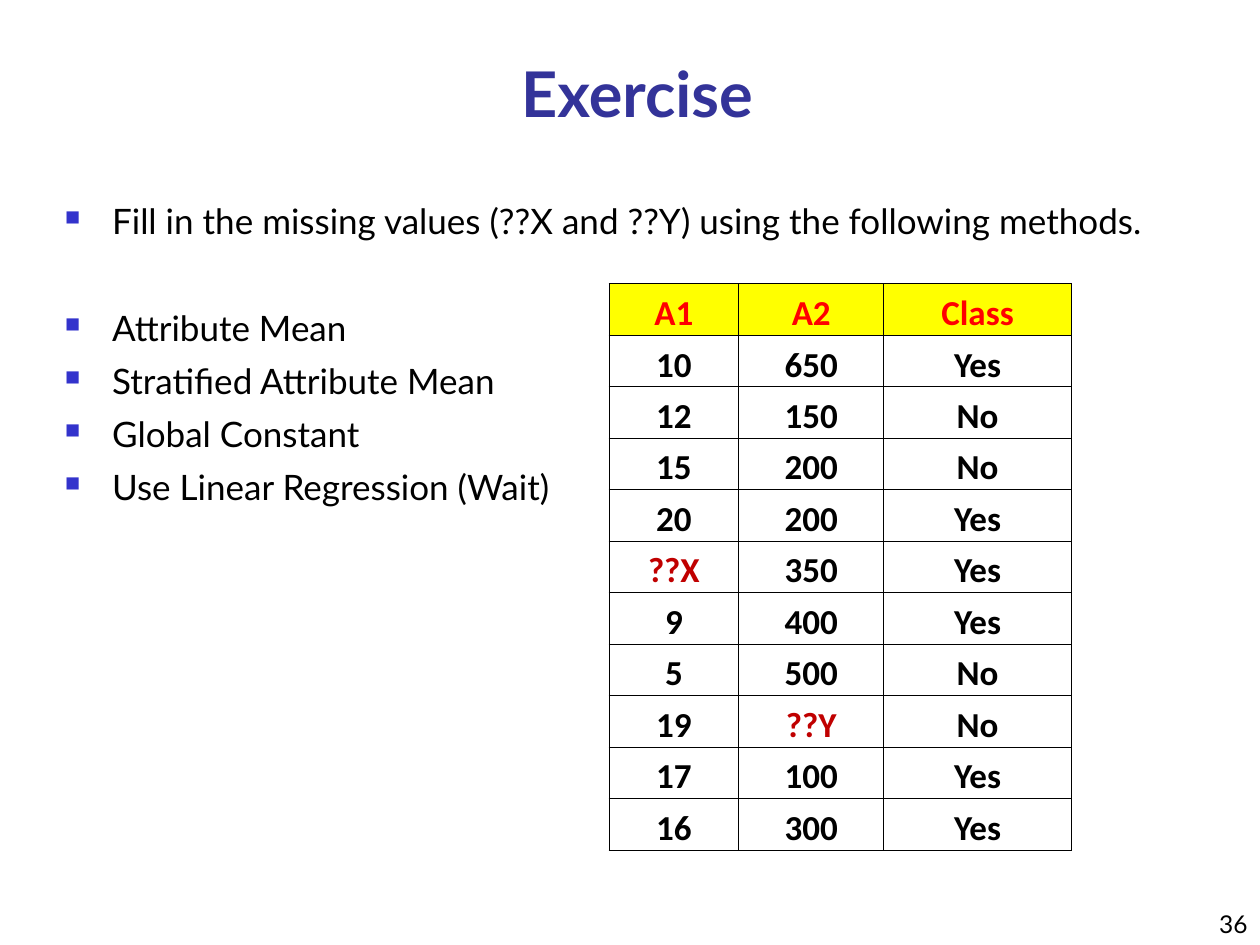
from lxml.etree import SubElement as Sub
from pptx import Presentation
from pptx.dml.color import RGBColor as RGB
from pptx.enum.text import MSO_ANCHOR as Anchor, PP_ALIGN as Align
from pptx.oxml.ns import qn
from pptx.util import Pt

TITLE = "Exercise"
PAGE = "36"
TASKS = [
    ("Fill in the missing values (??X and ??Y) using the following methods.", 4),
    ("Attribute Mean", 34.8),
    ("Stratified Attribute Mean", 4),
    ("Global Constant", 4),
    ("Use Linear Regression (Wait)", 4),
]
ROWS = [
    ("A1", "A2", "Class"),
    ("10", "650", "Yes"),
    ("12", "150", "No"),
    ("15", "200", "No"),
    ("20", "200", "Yes"),
    ("??X", "350", "Yes"),
    ("9", "400", "Yes"),
    ("5", "500", "No"),
    ("19", "??Y", "No"),
    ("17", "100", "Yes"),
    ("16", "300", "Yes"),
]
WIDTHS = [74.2, 82.8, 107.3]
HIGH = 29.45
BLACK = "000000"


def color(code):
    return RGB.from_string(code)


def write(para, text, size, tint=BLACK, bold=False, face="Lato"):
    run = para.add_run()
    run.text = text
    font = run.font
    font.name, font.size, font.bold = face, Pt(size), bold
    font.color.rgb = color(tint)


def add_box(slide, left, top, width, height, anchor):
    box = slide.shapes.add_textbox(Pt(left), Pt(top), Pt(width), Pt(height))
    frame = box.text_frame
    frame.word_wrap = True
    frame.vertical_anchor = anchor
    return frame


def add_bullet(para):
    props = para._p.get_or_add_pPr()
    props.set("marL", str(Pt(27)))
    props.set("indent", str(-Pt(27)))
    Sub(Sub(props, qn("a:buClr")), qn("a:srgbClr"), val="3333CC")
    Sub(props, qn("a:buSzPct"), val="60000")
    Sub(props, qn("a:buChar"), char="■")


def add_border(cell):
    props = cell._tc.get_or_add_tcPr()
    for side in ("lnL", "lnR", "lnT", "lnB"):
        line = Sub(props, qn("a:" + side), w=str(Pt(0.5)))
        Sub(Sub(line, qn("a:solidFill")), qn("a:srgbClr"), val=BLACK)


def fill_cell(cell, text, head):
    cell.margin_left = cell.margin_right = cell.margin_top = Pt(0.7)
    cell.margin_bottom = Pt(0)
    cell.vertical_anchor = Anchor.BOTTOM
    add_border(cell)
    if head:
        cell.fill.solid()
        cell.fill.fore_color.rgb = color("FFFF00")
    else:
        cell.fill.background()
    tint = "FF0000" if head else "C00000" if text.startswith("??") else BLACK
    para = cell.text_frame.paragraphs[0]
    para.alignment = Align.CENTER
    write(para, text, 20, tint, True, "Calibri")


def add_grid(slide):
    size = Pt(sum(WIDTHS)), Pt(HIGH * len(ROWS))
    shape = slide.shapes.add_table(len(ROWS), len(WIDTHS), Pt(348), Pt(162), *size)
    table = shape.table
    for col, width in zip(table.columns, WIDTHS):
        col.width = Pt(width)
    for r, row in enumerate(ROWS):
        table.rows[r].height = Pt(HIGH)
        for c, text in enumerate(row):
            fill_cell(table.cell(r, c), text, r == 0)


def add_tasks(slide):
    frame = add_box(slide, 30, 108, 654, 42, Anchor.TOP)
    for i, (text, gap) in enumerate(TASKS):
        para = frame.add_paragraph() if i else frame.paragraphs[0]
        para.line_spacing = 1.1
        para.space_before = Pt(gap)
        add_bullet(para)
        write(para, text, 20)


def main():
    deck = Presentation()
    deck.slide_width, deck.slide_height = Pt(720), Pt(540)
    slide = deck.slides.add_slide(deck.slide_layouts[6])
    title = add_box(slide, 60, 18, 608, 60, Anchor.BOTTOM).paragraphs[0]
    title.alignment = Align.CENTER
    write(title, TITLE, 36, "333399", True)
    page = add_box(slide, 570, 504, 150, 36, Anchor.BOTTOM).paragraphs[0]
    page.alignment = Align.RIGHT
    write(page, PAGE, 14)
    add_grid(slide)
    add_tasks(slide)
    deck.save("out.pptx")


if __name__ == "__main__":
    main()
